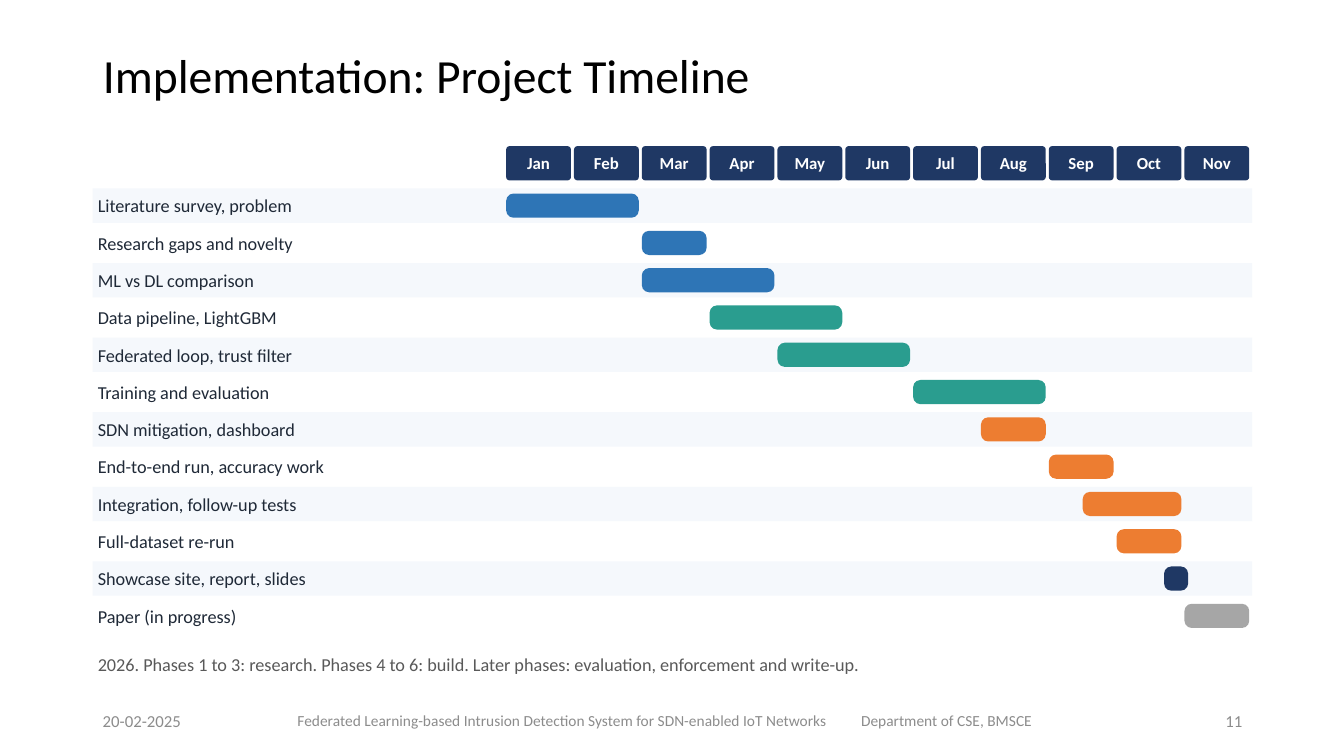
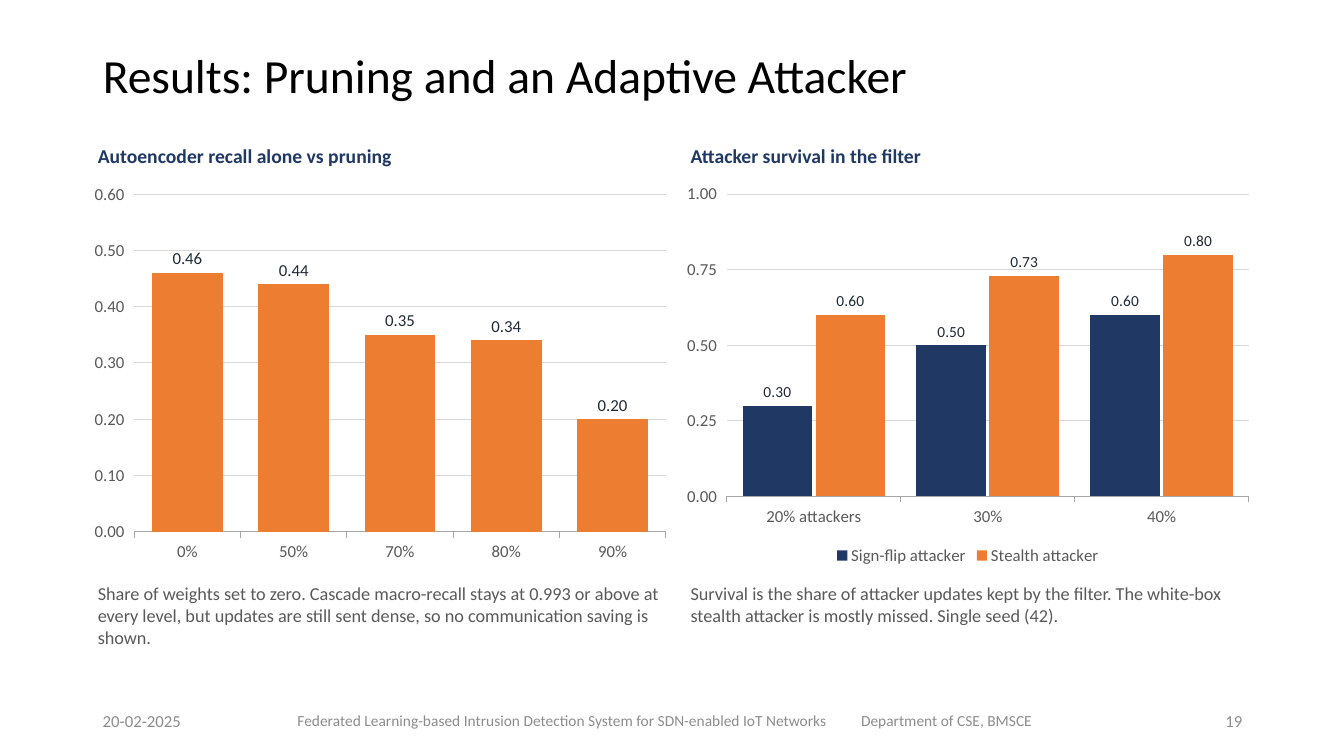
from lxml import etree
from pptx import Presentation
from pptx.chart.data import CategoryChartData
from pptx.dml.color import RGBColor
from pptx.enum.chart import XL_CHART_TYPE, XL_LABEL_POSITION, XL_LEGEND_POSITION
from pptx.enum.shapes import MSO_SHAPE
from pptx.enum.text import MSO_ANCHOR, MSO_AUTO_SIZE, PP_ALIGN
from pptx.oxml.ns import qn
from pptx.util import Inches, Pt

COLUMNS = XL_CHART_TYPE.COLUMN_CLUSTERED
OUTSIDE_END = XL_LABEL_POSITION.OUTSIDE_END
LEGEND_BOTTOM = XL_LEGEND_POSITION.BOTTOM
ROUNDED = MSO_SHAPE.ROUNDED_RECTANGLE
TOP, MIDDLE = MSO_ANCHOR.TOP, MSO_ANCHOR.MIDDLE
LEFT, CENTER, RIGHT = PP_ALIGN.LEFT, PP_ALIGN.CENTER, PP_ALIGN.RIGHT

BLACK = RGBColor(0x00, 0x00, 0x00)
WHITE = RGBColor(0xFF, 0xFF, 0xFF)
NAVY = RGBColor(0x1F, 0x38, 0x64)
BLUE = RGBColor(0x2E, 0x75, 0xB6)
TEAL = RGBColor(0x2A, 0x9D, 0x8F)
ORANGE = RGBColor(0xED, 0x7D, 0x31)
GRAY = RGBColor(0xA6, 0xA6, 0xA6)
GRID = RGBColor(0xD9, 0xD9, 0xD9)
STRIPE = RGBColor(0xF5, 0xF8, 0xFC)
INK = RGBColor(0x1F, 0x29, 0x37)
NOTE = RGBColor(0x59, 0x59, 0x59)
FOOTER = RGBColor(0x8C, 0x8C, 0x8C)

FONT = "Calibri"
TITLE_BOX = (0.92, 0.3, 10.9, 0.95)
FOOTER_TOP, FOOTER_HEIGHT = 6.95, 0.4
DATE = "20-02-2025"
PROJECT = "Federated Learning-based Intrusion Detection System for SDN-enabled IoT Networks"
DEPARTMENT = "Department of CSE, BMSCE"
DEPARTMENT_TAB = 5.59

FRAME_INSETS = (0.1, 0.05, 0.1, 0.05)
TEXT_INSETS = (0.05, 0.03, 0.05, 0.03)
MONTH_INSETS = (0.08, 0.04, 0.08, 0.04)

MONTHS = ["Jan", "Feb", "Mar", "Apr", "May", "Jun", "Jul", "Aug", "Sep", "Oct", "Nov"]
# Label, first month counted from 0, length in months, colour
PHASES = [
    ("Literature survey, problem", 0, 2, BLUE),
    ("Research gaps and novelty", 2, 1, BLUE),
    ("ML vs DL comparison", 2, 2, BLUE),
    ("Data pipeline, LightGBM", 3, 2, TEAL),
    ("Federated loop, trust filter", 4, 2, TEAL),
    ("Training and evaluation", 6, 2, TEAL),
    ("SDN mitigation, dashboard", 7, 1, ORANGE),
    ("End-to-end run, accuracy work", 8, 1, ORANGE),
    ("Integration, follow-up tests", 8.5, 1.5, ORANGE),
    ("Full-dataset re-run", 9, 1, ORANGE),
    ("Showcase site, report, slides", 9.7, 0.4, NAVY),
    ("Paper (in progress)", 10, 1, GRAY),
]


def set_format(target, **values):
    for name, value in values.items():
        setattr(target, name, value)


def set_font(font, size, color, bold=False):
    set_format(font, name=FONT, size=Pt(size), bold=bold)
    font.color.rgb = color


def write_text(shape, text, size, color, bold=False, align=LEFT, anchor=TOP,
               insets=TEXT_INSETS, line_spacing=None, tab=None):
    frame = shape.text_frame
    left, top, right, bottom = map(Inches, insets)
    set_format(frame, word_wrap=True, auto_size=MSO_AUTO_SIZE.NONE,
               vertical_anchor=anchor, margin_left=left, margin_top=top,
               margin_right=right, margin_bottom=bottom)
    paragraph = frame.paragraphs[0]
    set_format(paragraph, alignment=align, line_spacing=line_spacing)
    if tab is not None:
        properties = paragraph._p.get_or_add_pPr()
        stops = etree.SubElement(properties, qn("a:tabLst"))
        etree.SubElement(stops, qn("a:tab"), pos=str(Inches(tab)), algn="l")
    run = paragraph.add_run()
    run.text = text
    set_font(run.font, size, color, bold)


def add_text(slide, box, text, size, color, **options):
    shape = slide.shapes.add_textbox(*map(Inches, box))
    write_text(shape, text, size, color, **options)


def add_block(slide, box, color, rounding):
    shape = slide.shapes.add_shape(ROUNDED, *map(Inches, box))
    shape.adjustments[0] = rounding
    shape.shadow.inherit = False
    shape.fill.solid()
    shape.fill.fore_color.rgb = color
    shape.line.fill.background()
    return shape


def add_titled_slide(presentation, title, number):
    slide = presentation.slides.add_slide(presentation.slide_layouts[5])
    left, top, width, height = map(Inches, TITLE_BOX)
    set_format(slide.shapes.title, left=left, top=top, width=width, height=height)
    write_text(slide.shapes.title, title, 34, BLACK, anchor=MIDDLE,
               insets=FRAME_INSETS, line_spacing=0.9)
    # Footer: date, project and department, slide number
    add_text(slide, (0.92, FOOTER_TOP, 3, FOOTER_HEIGHT), DATE, 12, FOOTER,
             anchor=MIDDLE, insets=FRAME_INSETS)
    add_text(slide, (2.95, FOOTER_TOP, 7.6, FOOTER_HEIGHT),
             f"{PROJECT}\t{DEPARTMENT}", 11, FOOTER, anchor=MIDDLE,
             insets=(0, 0.05, 0, 0.05), tab=DEPARTMENT_TAB)
    add_text(slide, (9.42, FOOTER_TOP, 3, FOOTER_HEIGHT), str(number), 12, FOOTER,
             align=RIGHT, anchor=MIDDLE, insets=FRAME_INSETS)
    return slide


def add_timeline(slide, box):
    left, top, width, height = box
    label_width, row_height, header_height = 4.1, 0.34, 0.42
    bar_inset, gap = 0.05, 0.03
    months_left = left + label_width
    month_pitch = (width - label_width) / len(MONTHS)
    row_pitch = (height - header_height) / len(PHASES)

    # Month headings
    for index, month in enumerate(MONTHS):
        month_box = (months_left + index * month_pitch, top, month_pitch - gap, row_height)
        heading = add_block(slide, month_box, NAVY, 0.1)
        write_text(heading, month, 12, WHITE, bold=True, align=CENTER,
                   anchor=MIDDLE, insets=MONTH_INSETS)

    # Phase rows, every other one striped
    for index, (label, start, length, color) in enumerate(PHASES):
        row_top = top + header_height + index * row_pitch
        if index % 2 == 0:
            add_block(slide, (left, row_top, width, row_height), STRIPE, 0)
        add_text(slide, (left, row_top, label_width, row_height), label, 13, INK,
                 anchor=MIDDLE)
        add_block(slide, (months_left + start * month_pitch, row_top + bar_inset,
                          length * month_pitch - gap, row_height - 2 * bar_inset),
                  color, 0.3)


def add_column_chart(slide, box, categories, series, maximum, step, gap,
                     label_size, overlap=0):
    data = CategoryChartData(number_format="0.00")
    data.categories = categories
    for name, values, _ in series:
        data.add_series(name, values)
    chart = slide.shapes.add_chart(COLUMNS, *map(Inches, box), data).chart
    set_font(chart.font, 12, NOTE)
    set_format(chart, has_title=False, has_legend=len(series) > 1)
    if chart.has_legend:
        set_format(chart.legend, position=LEGEND_BOTTOM, include_in_layout=False)
        set_font(chart.legend.font, 12, NOTE)

    # Axes
    value_axis, category_axis = chart.value_axis, chart.category_axis
    set_format(value_axis, minimum_scale=0, maximum_scale=maximum, major_unit=step,
               has_major_gridlines=True)
    set_format(value_axis.tick_labels, number_format="0.00",
               number_format_is_linked=False)
    value_axis.format.line.fill.background()
    for line, color in ((value_axis.major_gridlines.format.line, GRID),
                        (category_axis.format.line, GRAY)):
        line.color.rgb = color
        line.width = Pt(0.75)
    for axis in (value_axis, category_axis):
        set_font(axis.tick_labels.font, 12, NOTE)

    # Columns and their values
    plot = chart.plots[0]
    set_format(plot, gap_width=gap, overlap=overlap, vary_by_categories=False)
    for column_series, (_, _, color) in zip(plot.series, series):
        column_series.invert_if_negative = False
        column_series.format.fill.solid()
        column_series.format.fill.fore_color.rgb = color
        labels = column_series.data_labels
        set_format(labels, show_value=True, position=OUTSIDE_END,
                   number_format="0.00", number_format_is_linked=False)
        set_font(labels.font, label_size, INK)


def add_chart_panel(slide, box, heading, note, **chart_options):
    left, top, width, height = box
    bleed, note_height = 0.1, 1.1
    note_top = top + height - note_height
    add_text(slide, (left, top, width, 0.4), heading, 14, NAVY, bold=True)
    add_column_chart(slide, (left - bleed, top + 0.35, width + 2 * bleed, 3.9),
                     **chart_options)
    add_text(slide, (left, note_top, width, note_height), note, 13, NOTE)


def build_timeline_slide(presentation):
    slide = add_titled_slide(presentation, "Implementation: Project Timeline", 11)
    add_timeline(slide, (0.92, 1.45, 11.5, 4.86))
    add_text(slide, (0.92, 6.45, 11.5, 0.4),
             "2026. Phases 1 to 3: research. Phases 4 to 6: build. "
             "Later phases: evaluation, enforcement and write-up.", 13, NOTE)


def build_results_slide(presentation):
    slide = add_titled_slide(presentation, "Results: Pruning and an Adaptive Attacker", 19)
    add_chart_panel(
        slide, (0.92, 1.4, 5.7, 5.45), "Autoencoder recall alone vs pruning",
        "Share of weights set to zero. Cascade macro-recall stays at 0.993 or above at "
        "every level, but updates are still sent dense, so no communication saving is shown.",
        categories=["0%", "50%", "70%", "80%", "90%"],
        series=[("Series 1", (0.46, 0.44, 0.35, 0.34, 0.2), ORANGE)],
        maximum=0.6, step=0.1, gap=50, label_size=12)
    add_chart_panel(
        slide, (6.8, 1.4, 5.6, 5.45), "Attacker survival in the filter",
        "Survival is the share of attacker updates kept by the filter. The white-box "
        "stealth attacker is mostly missed. Single seed (42).",
        categories=["20% attackers", "30%", "40%"],
        series=[("Sign-flip attacker", (0.3, 0.5, 0.6), NAVY),
                ("Stealth attacker", (0.6, 0.73, 0.8), ORANGE)],
        maximum=1, step=0.25, gap=45, label_size=11, overlap=-5)


def main():
    presentation = Presentation()
    set_format(presentation, slide_width=Inches(13.33), slide_height=Inches(7.5))
    build_timeline_slide(presentation)
    build_results_slide(presentation)
    presentation.save("out.pptx")


if __name__ == "__main__":
    main()
